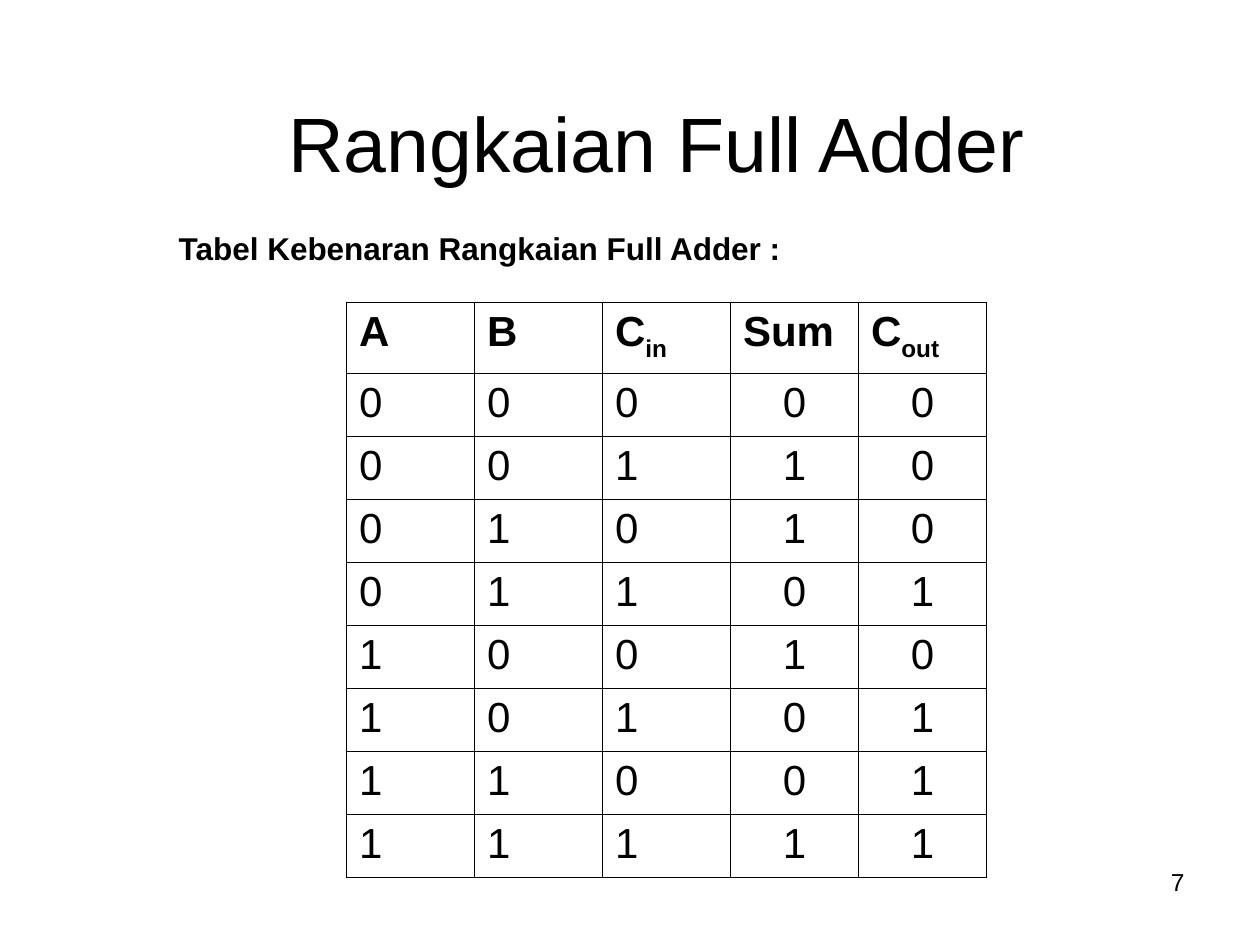
from dataclasses import dataclass
from itertools import product

from lxml.etree import SubElement
from pptx import Presentation
from pptx.dml.color import RGBColor
from pptx.enum.text import MSO_ANCHOR as Anchor, PP_ALIGN as Align
from pptx.oxml.ns import qn
from pptx.util import Inches, Pt


@dataclass(frozen=True)
class Theme:
    font: str = "Arial"
    ink: str = "000000"
    title: float = 44
    caption: float = 18
    table: float = 24
    number: float = 14
    outer_line: float = 1.08
    inner_line: float = 0.45


THEME = Theme()
HEADERS = [("A", ""), ("B", ""), ("C", "in"), ("Sum", ""), ("C", "out")]
INPUT_COUNT = 3


def full_adder_rows():
    for bits in product((0, 1), repeat=INPUT_COUNT):
        carry, total = divmod(sum(bits), 2)
        yield [(str(value), "") for value in (*bits, total, carry)]


def format_paragraph(paragraph, size, bold=False, align=Align.LEFT):
    paragraph.alignment = align
    font = paragraph.font
    font.name = THEME.font
    font.size = Pt(size)
    font.bold = bold
    font.color.rgb = RGBColor.from_string(THEME.ink)


def place_title(slide, box, text):
    title = slide.shapes.title
    title.left, title.top, title.width, title.height = map(Inches, box)
    title.text_frame.text = text
    title.text_frame.vertical_anchor = Anchor.MIDDLE
    format_paragraph(title.text_frame.paragraphs[0], THEME.title, align=Align.CENTER)


def place_text(slide, box, text, size, **style):
    frame = slide.shapes.add_textbox(*map(Inches, box)).text_frame
    frame.word_wrap = True
    frame.text = text
    format_paragraph(frame.paragraphs[0], size, **style)


def draw_borders(cell, outer_edges):
    properties = cell._tc.get_or_add_tcPr()
    for side, is_outer in outer_edges.items():
        width = THEME.outer_line if is_outer else THEME.inner_line
        line = SubElement(properties, qn(f"a:ln{side}"), w=str(Pt(width)))
        fill = SubElement(line, qn("a:solidFill"))
        SubElement(fill, qn("a:srgbClr"), val=THEME.ink)


def fill_cell(cell, label, subscript, bold, align):
    paragraph = cell.text_frame.paragraphs[0]
    paragraph.add_run().text = label
    if subscript:
        run = paragraph.add_run()
        run.text = subscript
        run._r.get_or_add_rPr().set("baseline", "-25000")
    format_paragraph(paragraph, THEME.table, bold, align)


def place_truth_table(slide, box, header_height, row_height):
    rows = [HEADERS, *full_adder_rows()]
    last_row, last_column = len(rows) - 1, len(HEADERS) - 1
    table = slide.shapes.add_table(len(rows), len(HEADERS), *map(Inches, box)).table
    table.first_row = table.horz_banding = False
    for index, row in enumerate(table.rows):
        row.height = Inches(row_height if index else header_height)
    for row_index, values in enumerate(rows):
        for column_index, (label, subscript) in enumerate(values):
            cell = table.cell(row_index, column_index)
            is_header = row_index == 0
            is_output = column_index >= INPUT_COUNT
            align = Align.CENTER if is_output and not is_header else Align.LEFT
            fill_cell(cell, label, subscript, is_header, align)
            draw_borders(cell, {
                "L": column_index == 0,
                "R": column_index == last_column,
                "T": is_header,
                "B": row_index == last_row,
            })
            cell.fill.background()


def main():
    presentation = Presentation()
    presentation.slide_width, presentation.slide_height = Inches(10), Inches(7.5)
    slide = presentation.slides.add_slide(presentation.slide_layouts.get_by_name("Title Only"))
    place_title(slide, (1.25, 0.65, 7.92, 0.95), "Rangkaian Full Adder")
    place_text(slide, (1.32, 1.77, 5, 0.4), "Tabel Kebenaran Rangkaian Full Adder :",
               THEME.caption, bold=True)
    place_truth_table(slide, (2.75, 2.4, 5.08, 4.56), header_height=0.56, row_height=0.5)
    place_text(slide, (7.17, 6.83, 2.33, 0.52), "7", THEME.number, align=Align.RIGHT)
    presentation.save("out.pptx")


if __name__ == "__main__":
    main()
